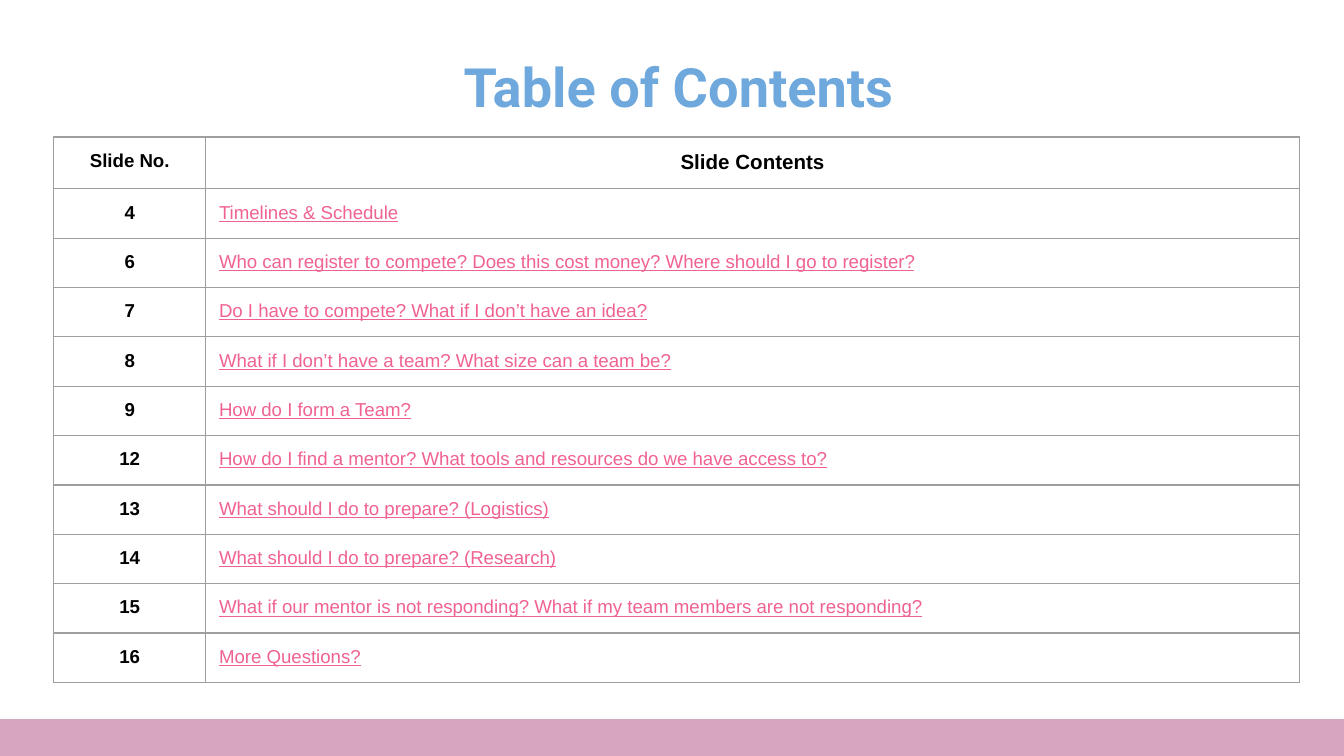
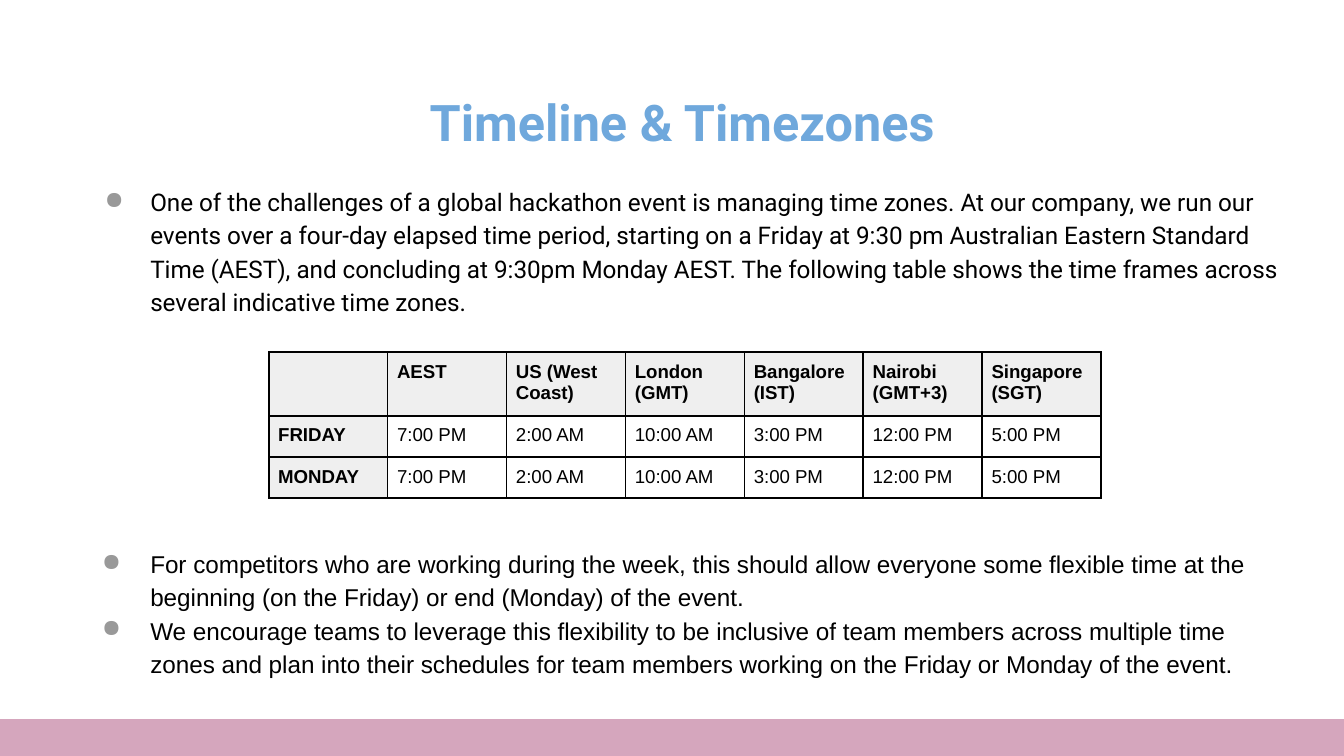
import lxml.etree
import pptx
import pptx.dml.color
import pptx.enum.shapes
import pptx.enum.text
import pptx.oxml.ns
import pptx.util

COLUMNS, ROWS = 100, 56.25
ALIGN = pptx.enum.text.PP_ALIGN
BLUE, ROSE, PINK = "6FA8DC", "D5A6BD", "F06292"
BLACK, GRAY, BULLET_GRAY, PALE = "000000", "9E9E9E", "999999", "EFEFEF"

CONTENTS = [
    ("4", "Timelines & Schedule"),
    ("6", "Who can register to compete? Does this cost money? Where should I go to register?"),
    ("7", "Do I have to compete? What if I don’t have an idea?"),
    ("8", "What if I don’t have a team? What size can a team be?"),
    ("9", "How do I form a Team?"),
    ("12", "How do I find a mentor? What tools and resources do we have access to?"),
    ("13", "What should I do to prepare? (Logistics)"),
    ("14", "What should I do to prepare? (Research)"),
    ("15", "What if our mentor is not responding? What if my team members are not responding?"),
    ("16", "More Questions?"),
]
ZONES = ["", "AEST", "US (West Coast)", "London (GMT)", "Bangalore (IST)",
         "Nairobi (GMT+3)", "Singapore (SGT)"]
TIMES = ["7:00 PM", "2:00 AM", "10:00 AM", "3:00 PM", "12:00 PM", "5:00 PM"]
CHALLENGE = (
    "One of the challenges of a global hackathon event is managing time zones. "
    "At our company, we run our events over a four-day elapsed time period, starting on "
    "a Friday at 9:30 pm Australian Eastern Standard Time (AEST), and concluding at "
    "9:30pm Monday AEST. The following table shows the time frames across several "
    "indicative time zones.")
FLEXIBLE = (
    "For competitors who are working during the week, this should allow everyone some "
    "flexible time at the beginning (on the Friday) or end (Monday) of the event.")
INCLUSIVE = (
    "We encourage teams to leverage this flexibility to be inclusive of team members "
    "across multiple time zones and plan into their schedules for team members working "
    "on the Friday or Monday of the event.")


def color(hex_string):
    return pptx.dml.color.RGBColor.from_string(hex_string)


def add_xml(parent, tag, **attributes):
    return lxml.etree.SubElement(parent, pptx.oxml.ns.qn(tag), attributes)


class Deck:
    """The presentation's style and its current slide; lengths are in grid units."""

    def __init__(self):
        self.presentation = pptx.Presentation()
        self.presentation.slide_width = pptx.util.Inches(10)
        self.presentation.slide_height = pptx.util.Inches(5.625)
        self.slide = None

    def across(self, columns):
        return round(self.presentation.slide_width * columns / COLUMNS)

    def down(self, rows):
        return round(self.presentation.slide_height * rows / ROWS)

    def box(self, left, top, width, height):
        return self.across(left), self.down(top), self.across(width), self.down(height)

    def add_slide(self):
        self.slide = self.presentation.slides.add_slide(self.presentation.slide_layouts[6])
        band = self.slide.shapes.add_shape(
            pptx.enum.shapes.MSO_SHAPE.RECTANGLE, *self.box(0, 53.5, COLUMNS, ROWS - 53.5))
        band.shadow.inherit = False
        band.fill.solid()
        band.fill.fore_color.rgb = color(ROSE)
        band.line.fill.background()

    def style(self, paragraph, size, font="Arial", ink=BLACK, bold=False, underline=False):
        for run in paragraph.runs:
            run.font.size = pptx.util.Pt(size)
            run.font.name = font
            run.font.color.rgb = color(ink)
            run.font.bold = bold
            run.font.underline = underline

    def text_frame(self, place):
        text_frame = self.slide.shapes.add_textbox(*self.box(*place)).text_frame
        text_frame.word_wrap = True
        self.set_margins(text_frame, 1)
        return text_frame

    def set_margins(self, holder, margin):
        holder.margin_left = holder.margin_right = self.across(margin)
        holder.margin_top = holder.margin_bottom = self.down(margin)

    def title(self, text, place, size):
        text_frame = self.text_frame(place)
        text_frame.auto_size = pptx.enum.text.MSO_AUTO_SIZE.SHAPE_TO_FIT_TEXT
        text_frame.text = text
        paragraph = text_frame.paragraphs[0]
        paragraph.alignment = ALIGN.CENTER
        self.style(paragraph, size, "Roboto", BLUE, bold=True)

    def bullets(self, place, items):
        """Write (text, font, hanging indent, points before) items in one box."""
        text_frame = self.text_frame(place)
        for index, (text, font, hanging, before) in enumerate(items):
            paragraph = text_frame.add_paragraph() if index else text_frame.paragraphs[0]
            paragraph.text = text
            paragraph.line_spacing = 1.15
            paragraph.space_before = pptx.util.Pt(before)
            self.style(paragraph, 13, font)
            properties = paragraph._p.get_or_add_pPr()
            properties.set("marL", str(self.across(5)))
            properties.set("indent", str(-self.across(hanging)))
            add_xml(add_xml(properties, "a:buClr"), "a:srgbClr", val=BULLET_GRAY)
            add_xml(properties, "a:buChar", char="●")

    def table(self, left, top, widths, heights, margin, border, content, cell_style):
        """cell_style(row, column) gives the alignment, fill and font settings."""
        table = self.slide.shapes.add_table(
            len(heights), len(widths),
            *self.box(left, top, sum(widths), sum(heights))).table
        table.first_row = table.horz_banding = False
        for column, width in zip(table.columns, widths):
            column.width = self.across(width)
        for row, height in zip(table.rows, heights):
            row.height = self.down(height)
        for row, texts in enumerate(content):
            for column, text in enumerate(texts):
                cell = table.cell(row, column)
                alignment, fill, font = cell_style(row, column)
                cell.text = text
                self.set_margins(cell, margin)
                paragraph = cell.text_frame.paragraphs[0]
                paragraph.alignment = alignment
                self.style(paragraph, **font)
                self.cell_borders(cell, *border)
                if fill:
                    cell.fill.solid()
                    cell.fill.fore_color.rgb = color(fill)
                else:
                    cell.fill.background()

    def cell_borders(self, cell, ink, width):
        properties = cell._tc.get_or_add_tcPr()
        for side in "LRTB":
            line = add_xml(properties, f"a:ln{side}", w=str(pptx.util.Pt(width)))
            add_xml(add_xml(line, "a:solidFill"), "a:srgbClr", val=ink)


def contents_style(row, column):
    if row and column:
        return ALIGN.LEFT, None, dict(size=10, ink=PINK, underline=True)
    return ALIGN.CENTER, None, dict(size=11 if column else 10, bold=True)


def timezone_style(row, column):
    heading = row == 0 or column == 0
    return ALIGN.LEFT, PALE if heading else None, dict(size=10, bold=heading)


def contents_slide(deck):
    deck.add_slide()
    deck.title("Table of Contents", (23.5, 3, 54, 6.9), 29)
    deck.table(4, 10.2, [11.3, 81.4], [3.85] + [3.67] * len(CONTENTS), 1, (GRAY, 0.75),
               [("Slide No.", "Slide Contents")] + CONTENTS, contents_style)


def timezones_slide(deck):
    deck.add_slide()
    deck.title("Timeline & Timezones", (22.2, 5.8, 57.1, 6.6), 27)
    deck.bullets((5.2, 12.6, 91.6, 39.3), [
        (CHALLENGE, "Roboto", 3.4, 10),
        (FLEXIBLE, "Arial", 3.6, 122),
        (INCLUSIVE, "Arial", 3.6, 0)])
    deck.table(20, 26.2, [8.85] * len(ZONES), [4.7, 3.07, 3.07], 0.7, (BLACK, 1),
               [ZONES, ["FRIDAY"] + TIMES, ["MONDAY"] + TIMES], timezone_style)


def main():
    deck = Deck()
    contents_slide(deck)
    timezones_slide(deck)
    deck.presentation.save("out.pptx")


if __name__ == "__main__":
    main()
